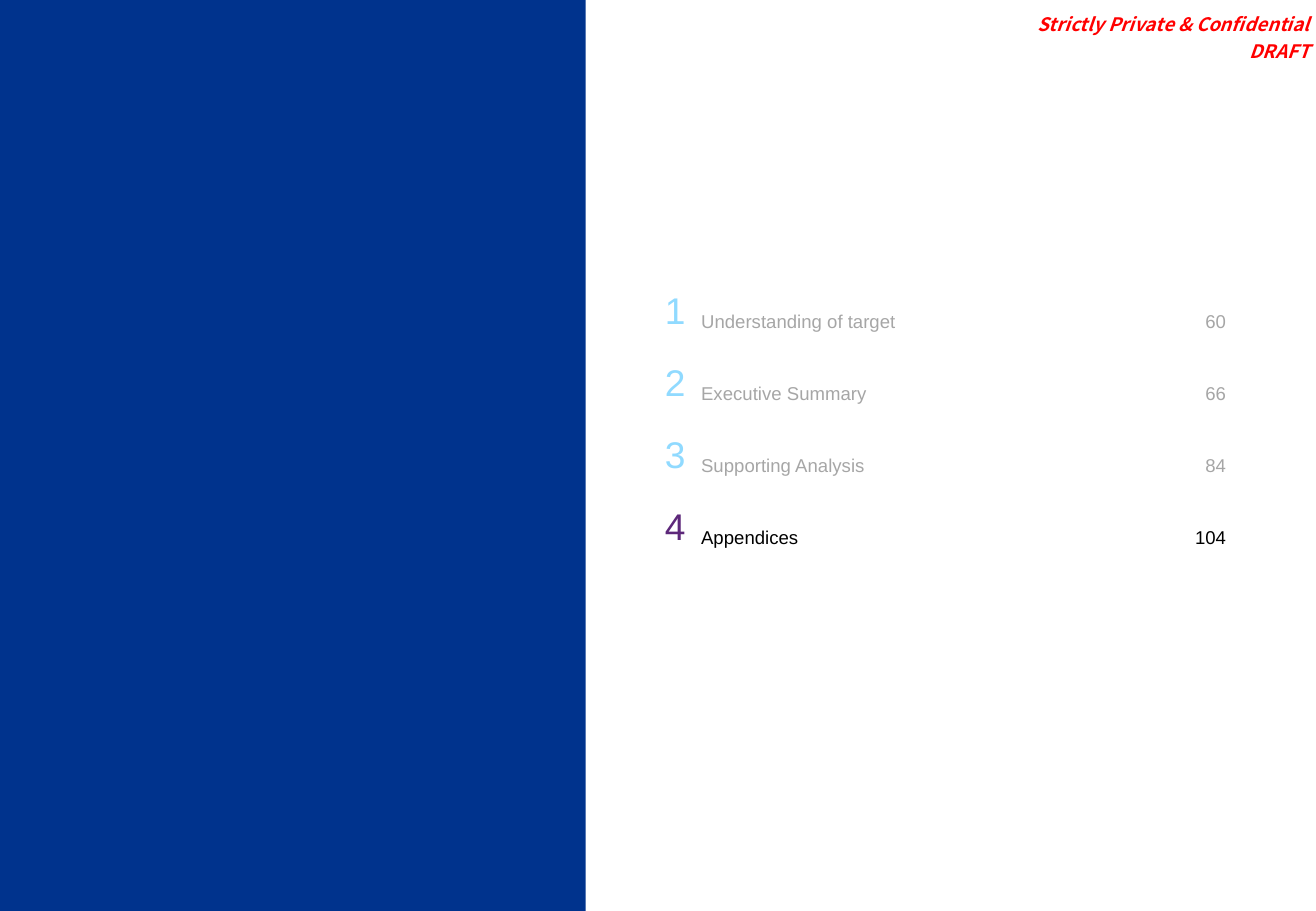
import pptx
import pptx.util
import pptx.dml.color
import pptx.enum.shapes
import pptx.enum.text

Inches = pptx.util.Inches
Pt = pptx.util.Pt
RIGHT = pptx.enum.text.PP_ALIGN.RIGHT
LEFT = pptx.enum.text.PP_ALIGN.LEFT

THEME = {
    "panel": "00338D",
    "notice": "FF0000",
    "number": "90DAFF",
    "entry": "A6A6A6",
    "current_number": "5D287A",
    "current_entry": "000000",
    "font": "Arial",
    "notice_font": "Noto Sans CJK KR",
    "number_size": 22,
    "text_size": 11,
}


def write(paragraph, text, color, size=THEME["text_size"], font=THEME["font"],
          align=LEFT, emphasis=False, before=0):
    paragraph.alignment = align
    paragraph.space_before = Pt(before)
    run = paragraph.add_run()
    run.text = text
    run.font.name = font
    run.font.size = Pt(size)
    run.font.bold = run.font.italic = emphasis
    run.font.color.rgb = pptx.dml.color.RGBColor.from_string(THEME[color])


presentation = pptx.Presentation()
presentation.slide_width = Inches(10.83)
presentation.slide_height = Inches(7.5)
slide = presentation.slides.add_slide(presentation.slide_layouts[6])

panel = slide.shapes.add_shape(
    pptx.enum.shapes.MSO_SHAPE.RECTANGLE, 0, 0,
    Inches(4.82), presentation.slide_height)
panel.shadow.inherit = False
panel.fill.solid()
panel.fill.fore_color.rgb = pptx.dml.color.RGBColor.from_string(THEME["panel"])
panel.line.fill.background()

notice = slide.shapes.add_textbox(Inches(8.32), 0, Inches(2.5), Inches(0.55))
frame = notice.text_frame
frame.word_wrap = True
frame.vertical_anchor = pptx.enum.text.MSO_ANCHOR.BOTTOM
frame.margin_left = 0
frame.margin_top = frame.margin_right = frame.margin_bottom = Inches(0.04)
notice_format = {"color": "notice", "font": THEME["notice_font"],
                 "align": RIGHT, "emphasis": True}
write(frame.paragraphs[0], "Strictly Private & Confidential", **notice_format)
write(frame.add_paragraph(), "DRAFT", before=2.5, **notice_format)

contents = [
    ("Understanding of target", 60),
    ("Executive Summary", 66),
    ("Supporting Analysis", 84),
    ("Appendices", 104),
]
current = len(contents)
column_widths = [0.56, 3.96, 0.49]
cell_margins = [(0.09, 0.05, 0.09), (0.04, 0.22, 0), (0.09, 0.22, 0.09)]
alignments = [RIGHT, LEFT, RIGHT]
sizes = [THEME["number_size"], THEME["text_size"], THEME["text_size"]]

table = slide.shapes.add_table(
    len(contents), len(column_widths), Inches(5.17), Inches(2.27),
    Inches(sum(column_widths)), Inches(2.37)).table
table.first_row = False
table.horz_banding = False
for column, width in zip(table.columns, column_widths):
    column.width = Inches(width)

for number, (title, page) in enumerate(contents, 1):
    prefix = "current_" if number == current else ""
    colors = [prefix + "number", prefix + "entry", prefix + "entry"]
    for index, text in enumerate([number, title, page]):
        cell = table.cell(number - 1, index)
        cell.fill.background()
        cell.vertical_anchor = pptx.enum.text.MSO_ANCHOR.MIDDLE
        left, top, right = cell_margins[index]
        cell.margin_left = Inches(left)
        cell.margin_top = Inches(top)
        cell.margin_right = Inches(right)
        cell.margin_bottom = Inches(0.05)
        write(cell.text_frame.paragraphs[0], str(text), colors[index],
              size=sizes[index], align=alignments[index])

presentation.save("out.pptx")
